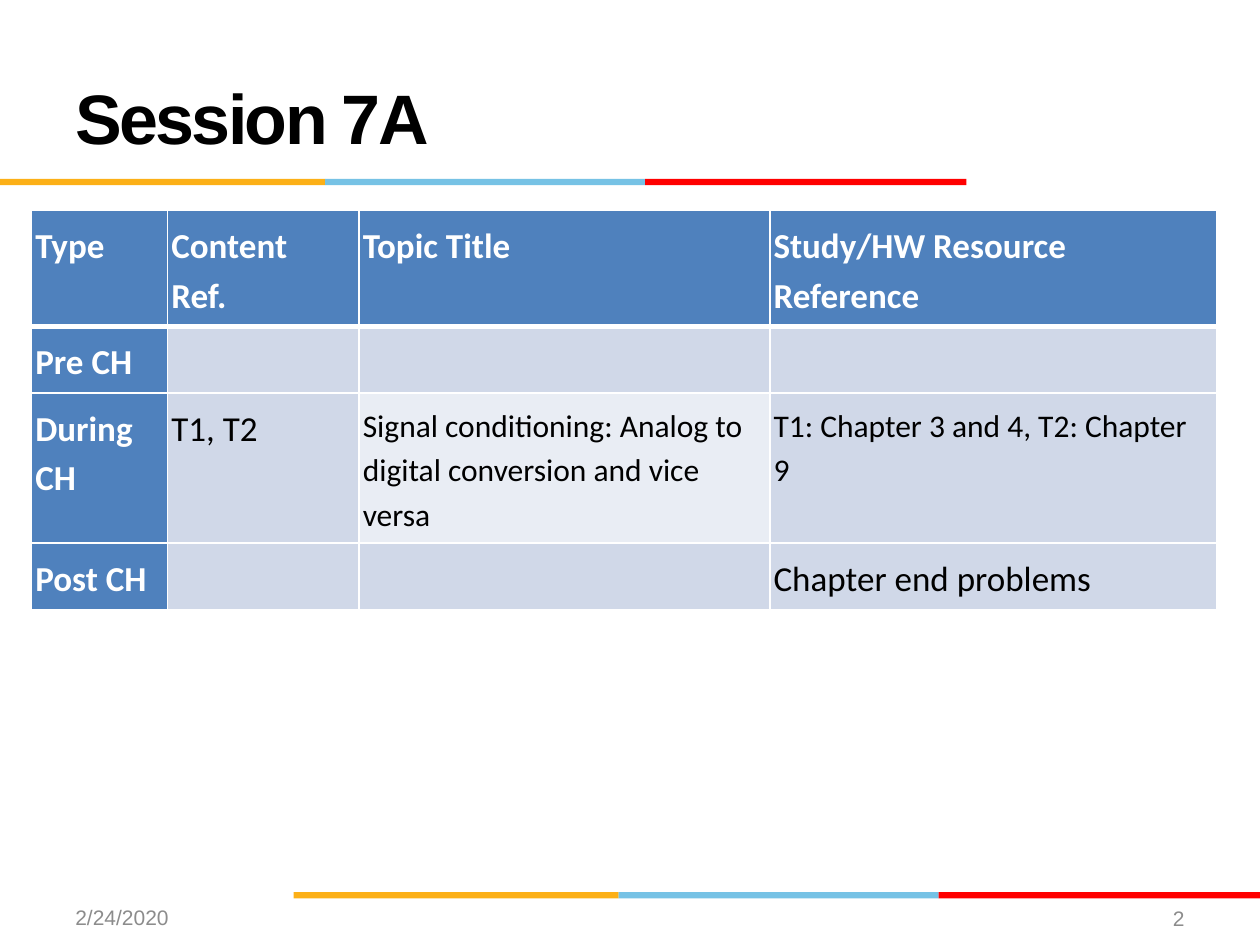
from pptx import Presentation
from pptx.dml.color import RGBColor
from pptx.enum.shapes import MSO_SHAPE
from pptx.enum.text import MSO_ANCHOR, PP_ALIGN
from pptx.oxml.ns import qn
from pptx.util import Inches, Pt
from lxml.etree import SubElement

WHITE = RGBColor(0xFF, 0xFF, 0xFF)
BLACK = RGBColor(0x00, 0x00, 0x00)
GREY = RGBColor(0x8C, 0x8C, 0x8C)
AMBER = RGBColor(0xFC, 0xB0, 0x17)
SKY = RGBColor(0x76, 0xC2, 0xE5)
RED = RGBColor(0xFF, 0x00, 0x00)
BLUE = RGBColor(0x4F, 0x81, 0xBD)
BAND = RGBColor(0xD0, 0xD8, 0xE8)
LIGHT_BAND = RGBColor(0xE9, 0xED, 0xF4)

# Content
TITLE_FORMAT = {"name": "Arial", "size": Pt(40), "bold": True}
FOOTER_FORMAT = {"name": "Arial", "size": Pt(12)}
TEXTS = [  # text, (left, top, width, height), alignment, format, colour
    ("Session 7A", (0.5, 0.3, 9, 1.25), PP_ALIGN.LEFT, TITLE_FORMAT, BLACK),
    ("2/24/2020", (0.5, 7.08, 2.33, 0.4), PP_ALIGN.LEFT, FOOTER_FORMAT, GREY),
    ("2", (8.33, 7.08, 1.17, 0.42), PP_ALIGN.RIGHT, FOOTER_FORMAT, GREY),
]
STRIPES = [(AMBER, 2.58), (SKY, 2.54), (RED, 2.55)]
STRIPE_STARTS = [(0, 1.42), (2.33, 7.08)]
ROWS = [
    ["Type", "Content Ref.", "Topic Title", "Study/HW Resource Reference"],
    ["Pre CH", "", "", ""],
    ["During CH", "T1, T2",
     "Signal conditioning: Analog to digital conversion and vice versa",
     "T1: Chapter 3 and 4, T2: Chapter 9"],
    ["Post CH", "", "", "Chapter end problems"],
]
COLUMN_WIDTHS = [1.08, 1.52, 3.26, 3.55]
ROW_HEIGHTS = [0.92, 0.53, 1.19, 0.53]
SMALL_CELLS = {(2, 2), (2, 3)}
LIGHT_CELLS = {(2, 2)}
CELL_FORMAT = {"vertical_anchor": MSO_ANCHOR.TOP,
               "margin_left": Inches(0.03), "margin_right": Inches(0.07),
               "margin_top": Inches(0.07), "margin_bottom": Inches(0.07)}


def apply_format(target, values):
    for name, value in values.items():
        setattr(target, name, value)


def add_stripes(slide, left, top):
    for color, width in STRIPES:
        stripe = slide.shapes.add_shape(MSO_SHAPE.RECTANGLE, Inches(left), Inches(top),
                                        Inches(width), Inches(0.05))
        stripe.shadow.inherit = False
        stripe.fill.solid()
        stripe.fill.fore_color.rgb = color
        stripe.line.fill.background()
        left += width


def add_text(slide, text, box, alignment, values, color):
    frame = slide.shapes.add_textbox(*map(Inches, box)).text_frame
    apply_format(frame, {"word_wrap": True, "vertical_anchor": MSO_ANCHOR.MIDDLE})
    paragraph = frame.paragraphs[0]
    paragraph.alignment = alignment
    run = paragraph.add_run()
    run.text = text
    apply_format(run.font, values)
    run.font.color.rgb = color
    return run


def set_borders(cell, bottom_width):
    properties = cell._tc.get_or_add_tcPr()
    widths = {"a:lnL": 1, "a:lnR": 1, "a:lnT": 1, "a:lnB": bottom_width}
    for position, (tag, width) in enumerate(widths.items()):
        line = SubElement(properties, qn(tag), w=str(Pt(width)))
        properties.insert(position, line)  # borders come before the fill
        fill = SubElement(line, qn("a:solidFill"))
        SubElement(fill, qn("a:srgbClr"), val=str(WHITE))


def fill_cell(cell, row, column, text):
    heading = row == 0 or column == 0
    apply_format(cell, CELL_FORMAT)
    cell.fill.solid()
    cell.fill.fore_color.rgb = (BLUE if heading else
                                LIGHT_BAND if (row, column) in LIGHT_CELLS else BAND)
    set_borders(cell, 3 if row == 0 else 1)
    if text:
        paragraph = cell.text_frame.paragraphs[0]
        paragraph.line_spacing = 1.15
        run = paragraph.add_run()
        run.text = text
        size = 18 if (row, column) in SMALL_CELLS else 20
        apply_format(run.font, {"name": "Calibri", "size": Pt(size), "bold": heading})
        run.font.color.rgb = WHITE if heading else BLACK


def add_schedule(slide):
    table = slide.shapes.add_table(
        len(ROWS), len(COLUMN_WIDTHS), Inches(0.25), Inches(1.67),
        Inches(sum(COLUMN_WIDTHS)), Inches(sum(ROW_HEIGHTS))).table
    for column, width in zip(table.columns, COLUMN_WIDTHS):
        column.width = Inches(width)
    for row, height in zip(table.rows, ROW_HEIGHTS):
        row.height = Inches(height)
    for row, texts in enumerate(ROWS):
        for column, text in enumerate(texts):
            fill_cell(table.cell(row, column), row, column, text)


def main():
    presentation = Presentation()
    presentation.slide_width = Inches(10)
    presentation.slide_height = Inches(7.5)
    slide = presentation.slides.add_slide(presentation.slide_layouts[6])

    # Coloured stripes under the title and above the footer
    for left, top in STRIPE_STARTS:
        add_stripes(slide, left, top)

    # Title, with tightened letters, and footer
    title, *_ = [add_text(slide, *item) for item in TEXTS]
    title.font._element.set("spc", "-150")

    # Session table
    add_schedule(slide)
    presentation.save("out.pptx")


if __name__ == "__main__":
    main()
